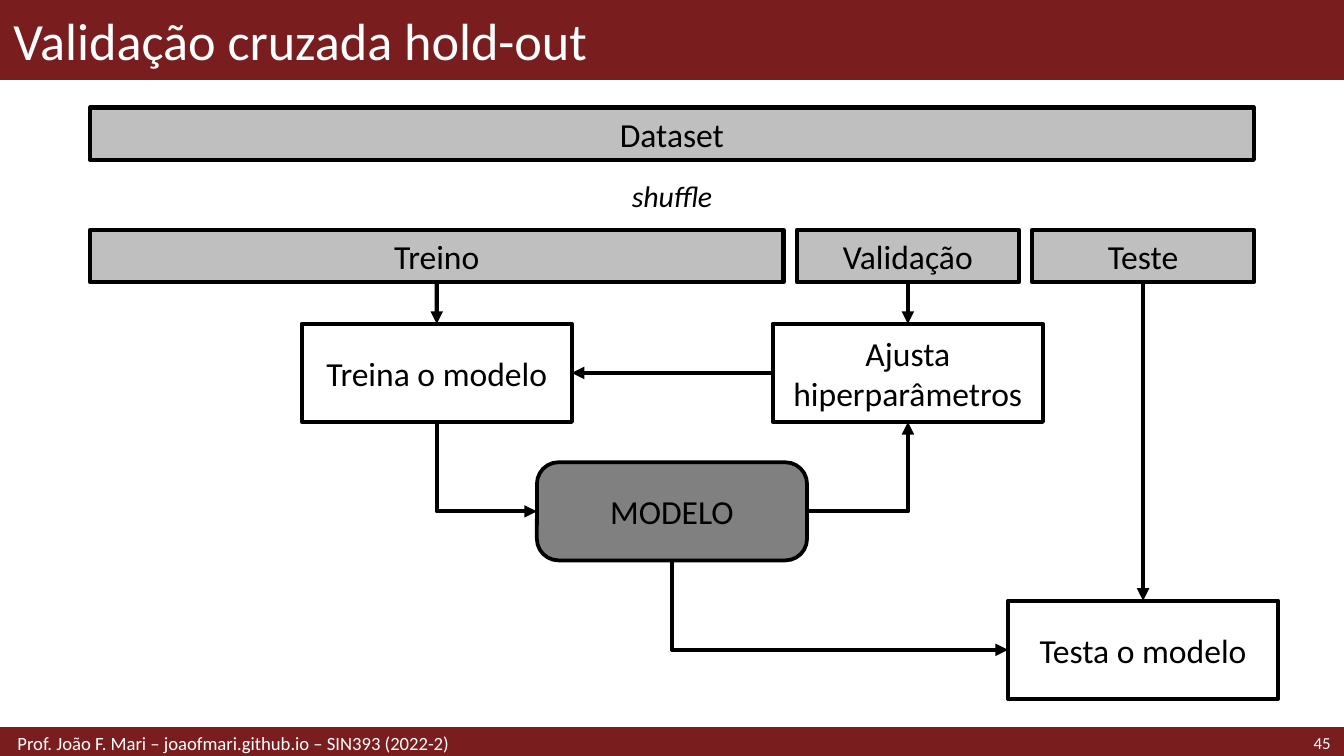
from lxml import etree
from pptx import Presentation
from pptx.dml.color import RGBColor
from pptx.enum.shapes import MSO_CONNECTOR, MSO_SHAPE
from pptx.enum.text import MSO_ANCHOR, PP_ALIGN
from pptx.oxml.ns import qn
from pptx.util import Inches, Pt

RECT, ROUND = MSO_SHAPE.RECTANGLE, MSO_SHAPE.ROUNDED_RECTANGLE
STRAIGHT, ELBOW = MSO_CONNECTOR.STRAIGHT, MSO_CONNECTOR.ELBOW
LEFT, CENTER, RIGHT = PP_ALIGN.LEFT, PP_ALIGN.CENTER, PP_ALIGN.RIGHT
MIDDLE = MSO_ANCHOR.MIDDLE
TOP_SITE, LEFT_SITE, BOTTOM_SITE, RIGHT_SITE = range(4)

THEME = {
    "font": "Calibri",
    "bar": "791D1F", "light": "FFFFFF", "ink": "000000",
    "data": "BFBFBF", "model": "808080",
    "title": 28, "body": 18, "note": 16, "footer": 10, "number": 9,
    "line": 2.25, "model_line": 2,
}

W = 10
H = W * 9 / 16
TITLE_H, FOOT_Y, FOOT_H = 0.59, 5.42, 0.21
BAR_X, BAR_W, BAR_H, GAP = 0.67, 8.66, 0.39, 0.1
DATA_Y, SPLIT_Y = 0.8, 1.71
STEP_W, STEP_H = 2.01, 0.73

TITLE = "Validação cruzada hold-out"
FOOTER = "Prof. João F. Mari – joaofmari.github.io – SIN393 (2022-2)"
PAGE = "45"
DATASET, SHUFFLE = "Dataset", "shuffle"
SPLITS = [("Treino", 5.16), ("Validação", 1.65), ("Teste", 1.65)]
STEPS = [
    ("Treina o modelo", "Treino", 2.41),
    ("Ajusta hiperparâmetros", "Validação", 2.41),
    ("MODELO", "Dataset", 3.44),
    ("Testa o modelo", "Teste", 4.47),
]
ARROWS = [
    ("Treino", BOTTOM_SITE, "Treina o modelo", TOP_SITE),
    ("Validação", BOTTOM_SITE, "Ajusta hiperparâmetros", TOP_SITE),
    ("Teste", BOTTOM_SITE, "Testa o modelo", TOP_SITE),
    ("Ajusta hiperparâmetros", LEFT_SITE, "Treina o modelo", RIGHT_SITE),
    ("Treina o modelo", BOTTOM_SITE, "MODELO", LEFT_SITE),
    ("MODELO", RIGHT_SITE, "Ajusta hiperparâmetros", BOTTOM_SITE),
    ("MODELO", BOTTOM_SITE, "Testa o modelo", LEFT_SITE),
]


def color(name):
    return RGBColor.from_string(THEME[name])


def write(sp, text, size, ink="ink", align=CENTER, italic=None):
    tf = sp.text_frame
    tf.word_wrap = True
    tf.vertical_anchor = MIDDLE
    p = tf.paragraphs[0]
    p.text = text
    p.alignment = align
    p.font.name = THEME["font"]
    p.font.size = Pt(THEME[size])
    p.font.color.rgb = color(ink)
    p.font.italic = italic
    return tf


def paint(sp, fill, line, weight):
    sp.fill.solid()
    sp.fill.fore_color.rgb = color(fill)
    sp.line.color.rgb = color(line)
    sp.line.width = Pt(weight)


def add_box(s, kind, x, y, w, h, fill, line, weight):
    sp = s.shapes.add_shape(kind, Inches(x), Inches(y), Inches(w), Inches(h))
    sp.shadow.inherit = False
    paint(sp, fill, line, weight)
    return sp


def add_label(s, x, y, w, h, text, size, **style):
    sp = s.shapes.add_textbox(Inches(x), Inches(y), Inches(w), Inches(h))
    return write(sp, text, size, **style)


def add_arrow(s, start, start_site, end, end_site):
    bent = (start_site - end_site) % 2 == 1
    c = s.shapes.add_connector(ELBOW if bent else STRAIGHT, 0, 0, 0, 0)
    c.begin_connect(start, start_site)
    c.end_connect(end, end_site)
    c.line.color.rgb = color("ink")
    c.line.width = Pt(THEME["line"])
    spPr = c._element.spPr
    if bent:
        spPr.find(qn("a:prstGeom")).set("prst", "bentConnector2")
    if bent and start_site == BOTTOM_SITE:
        w, h = c.width, c.height
        c.left, c.top = c.left + (w - h) // 2, c.top + (h - w) // 2
        c.width, c.height = h, w
        xfrm = spPr.find(qn("a:xfrm"))
        xfrm.set("rot", "16200000")
        xfrm.set("flipH", "1")
    etree.SubElement(spPr.find(qn("a:ln")), qn("a:tailEnd"), type="triangle")
    etree.SubElement(spPr, qn("a:effectLst"))


def main():
    prs = Presentation()
    prs.slide_width, prs.slide_height = Inches(W), Inches(H)
    s = prs.slides.add_slide(prs.slide_layouts[5])

    title = s.shapes.title
    title.left, title.top = Inches(0), Inches(0)
    title.width, title.height = Inches(W), Inches(TITLE_H)
    paint(title, "bar", "bar", 1)
    write(title, TITLE, "title", "light", LEFT)

    add_box(s, RECT, 0, FOOT_Y, W, FOOT_H, "bar", "bar", 2)
    tf = add_label(s, 0, FOOT_Y, 6.89, FOOT_H, FOOTER, "footer",
                   ink="light", align=LEFT)
    tf.margin_left = Inches(0.13)
    add_label(s, 8.86, FOOT_Y, 1.14, FOOT_H, PAGE, "number",
              ink="light", align=RIGHT)

    boxes, centers = {}, {}
    x = BAR_X
    bars = [(DATASET, BAR_X, DATA_Y, BAR_W)]
    for name, w in SPLITS:
        bars.append((name, x, SPLIT_Y, w))
        x += w + GAP
    for name, x, y, w in bars:
        boxes[name] = add_box(s, RECT, x, y, w, BAR_H, "data", "ink", THEME["line"])
        centers[name] = x + w / 2

    for name, above, y in STEPS:
        model = name == "MODELO"
        boxes[name] = add_box(
            s, ROUND if model else RECT, centers[above] - STEP_W / 2, y,
            STEP_W, STEP_H, "model" if model else "light", "ink",
            THEME["model_line" if model else "line"])
    boxes["MODELO"].adjustments[0] = 0.22

    for name, sp in boxes.items():
        write(sp, name, "body")

    add_label(s, 4.59, 1.27, 0.82, 0.37, SHUFFLE, "note",
              italic=True).word_wrap = False

    for start, start_site, end, end_site in ARROWS:
        add_arrow(s, boxes[start], start_site, boxes[end], end_site)

    prs.save("out.pptx")


if __name__ == "__main__":
    main()
